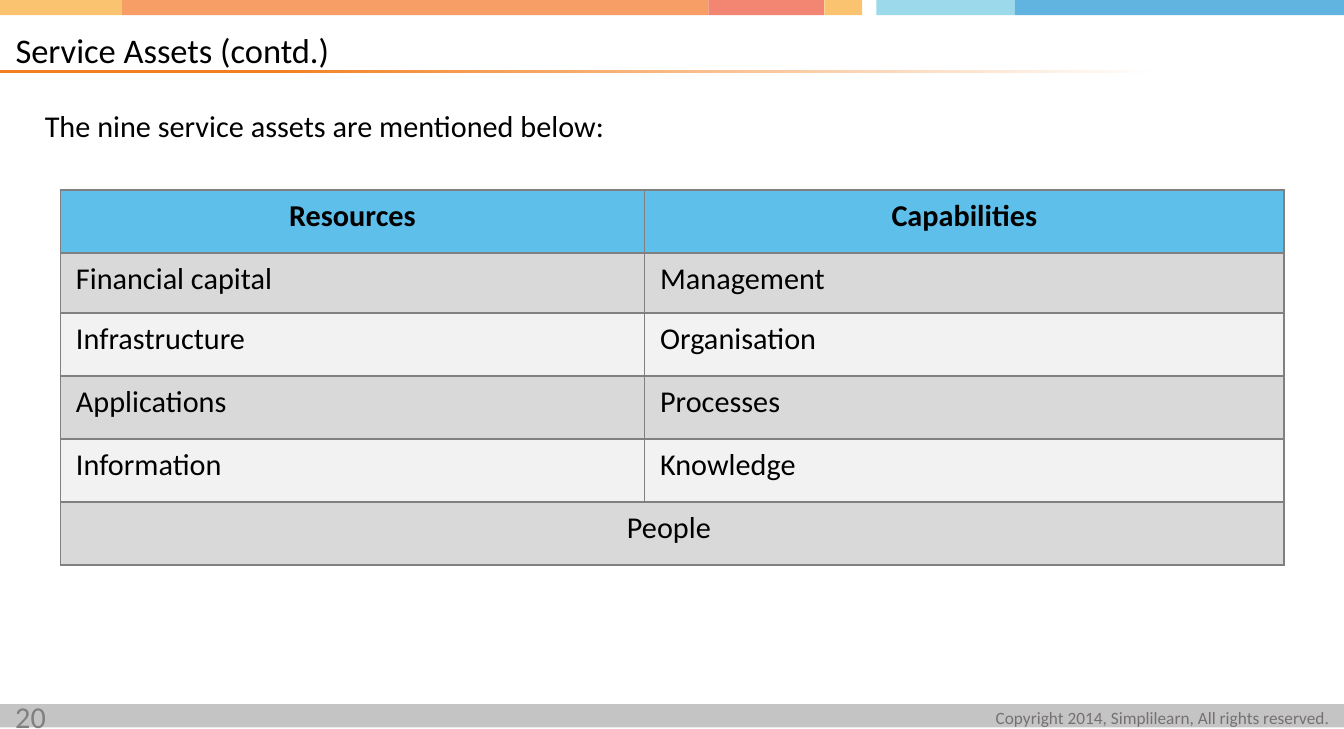
from itertools import pairwise

from lxml import etree
from pptx import Presentation
from pptx.dml.color import RGBColor
from pptx.enum.shapes import MSO_SHAPE
from pptx.enum.text import MSO_ANCHOR, PP_ALIGN
from pptx.oxml.ns import qn
from pptx.util import Pt

RECT = MSO_SHAPE.RECTANGLE
TOP, BOTTOM = MSO_ANCHOR.TOP, MSO_ANCHOR.BOTTOM
LEFT, CENTER, RIGHT = PP_ALIGN.LEFT, PP_ALIGN.CENTER, PP_ALIGN.RIGHT

FONT = "Calibri"
W, H = 622.8, 337.7
COLORS = {
    "text": "000000", "number": "808080", "copyright": "767171",
    "footer": "C4C4C4", "rule": "F28020", "white": "FFFFFF",
    "amber": "FAC36F", "orange": "F69E66", "coral": "F38573",
    "aqua": "9CDAEB", "blue": "61B4DF",
    "header": "29AAE3", "dark_row": "D9D9D9", "light_row": "F2F2F2",
    "border": "808080",
}
STRIP_EDGES = [0, 56.2, 328.3, 382, 399.6, 406.1, 470.2, W]
STRIP_COLORS = ["amber", "orange", "coral", "amber", "white", "aqua", "blue"]
ASSETS = [
    ["Resources", "Capabilities"],
    ["Financial capital", "Management"],
    ["Infrastructure", "Organisation"],
    ["Applications", "Processes"],
    ["Information", "Knowledge"],
    ["People ", ""],
]


def rgb(name):
    return RGBColor.from_string(COLORS[name])


def add_rect(slide, x, y, w, h, color):
    sp = slide.shapes.add_shape(RECT, Pt(x), Pt(y), Pt(w), Pt(h))
    sp.shadow.inherit = False
    sp.line.fill.background()
    sp.fill.solid()
    sp.fill.fore_color.rgb = rgb(color)
    return sp


def write(tf, text, size, color="text", align=LEFT, bold=False):
    p = tf.paragraphs[0]
    p.alignment = align
    r = p.add_run()
    r.text = text
    r.font.name = FONT
    r.font.size = Pt(size)
    r.font.bold = bold
    r.font.color.rgb = rgb(color)


def add_text(slide, x, y, w, h, text, size, color="text", align=LEFT, wrap=True):
    sp = slide.shapes.add_textbox(Pt(x), Pt(y), Pt(w), Pt(h))
    tf = sp.text_frame
    tf.word_wrap = wrap
    tf.vertical_anchor = TOP
    write(tf, text, size, color, align)
    return tf


def add_top_strip(slide, x, y, h):
    for (start, end), color in zip(pairwise(STRIP_EDGES), STRIP_COLORS):
        add_rect(slide, x + start, y, end - start, h, color)


def add_footer(slide, x, y, w, h):
    add_rect(slide, x, y, w, h, "footer")
    tf = add_text(slide, x + w - 162, y - 2.2, 155.5, 17.3,
                  "Copyright 2014, Simplilearn, All rights reserved.",
                  8, "copyright", RIGHT, False)
    tf.margin_left = tf.margin_right = 0
    add_text(slide, x, y - 6.5, 45.4, 18, "20", 14, "number")


def add_heading(slide, x, y, w, h):
    rule = add_rect(slide, x, y + h - 0.2, 537.8, 1.5, "rule")
    rule.fill.gradient()
    rule.fill.gradient_angle = 0
    stops = zip(rule.fill.gradient_stops, [(0.23, "rule"), (1, "white")])
    for stop, (position, color) in stops:
        stop.position = position
        stop.color.rgb = rgb(color)
    title = slide.shapes.title
    title.left, title.top, title.width, title.height = Pt(x), Pt(y), Pt(w), Pt(h)
    tf = title.text_frame
    tf.word_wrap = True
    tf.vertical_anchor = BOTTOM
    tf.margin_left = Pt(7.2)
    tf.margin_top = tf.margin_right = tf.margin_bottom = 0
    write(tf, "Service Assets (contd.)", 16)


def set_borders(cell):
    tc_pr = cell._tc.get_or_add_tcPr()
    for side in ("a:lnL", "a:lnR", "a:lnT", "a:lnB"):
        ln = etree.SubElement(tc_pr, qn(side), w=str(Pt(1)))
        fill = etree.SubElement(ln, qn("a:solidFill"))
        etree.SubElement(fill, qn("a:srgbClr"), val=COLORS["border"])


def fill_cell(cell, color, opacity=100):
    cell.fill.solid()
    cell.fill.fore_color.rgb = rgb(color)
    if opacity < 100:
        clr = cell._tc.tcPr.find(".//" + qn("a:srgbClr") + "[@val='" + COLORS[color] + "']")
        etree.SubElement(clr, qn("a:alpha"), val=str(opacity * 1000))


def add_assets_table(slide, x, y, w, h):
    rows, cols = len(ASSETS), len(ASSETS[0])
    table = slide.shapes.add_table(rows, cols, Pt(x), Pt(y), Pt(w), Pt(h)).table
    first_col, first_body_row = 270.7, 27.9
    table.columns[0].width = Pt(first_col)
    table.columns[1].width = Pt(w - first_col)
    last = rows - 1
    for i, row in enumerate(table.rows):
        row.height = Pt(first_body_row if i == 1 else (h - first_body_row) / last)
        for j, text in enumerate(ASSETS[i]):
            cell = table.cell(i, j)
            set_borders(cell)
            if i == 0:
                fill_cell(cell, "header", 75)
            else:
                fill_cell(cell, "dark_row" if i % 2 else "light_row")
            if text:
                align = CENTER if i in (0, last) else LEFT
                write(cell.text_frame, text, 14, align=align, bold=i == 0)
    table.cell(last, 0).merge(table.cell(last, cols - 1))


def main():
    prs = Presentation()
    prs.slide_width, prs.slide_height = Pt(W), Pt(H)
    slide = prs.slides.add_slide(prs.slide_layouts[5])
    add_footer(slide, 0, 326.2, W, 10.8)
    add_top_strip(slide, 0, 0, 7)
    add_heading(slide, 0, 8, 509.8, 24.6)
    add_text(slide, 13.7, 46, 594.7, 268.6,
             "The nine service assets are mentioned below:", 14)
    add_assets_table(slide, 28, 88, 567.2, 173.9)
    prs.save("out.pptx")


if __name__ == "__main__":
    main()
